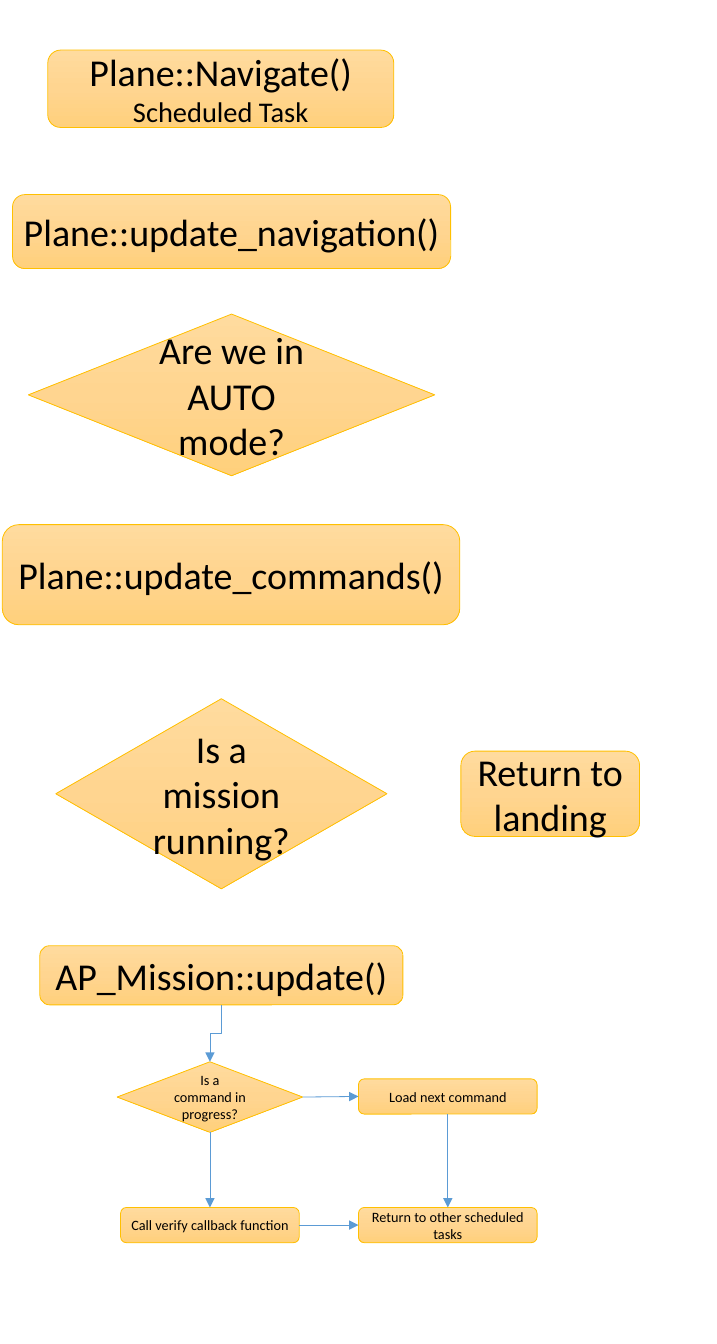
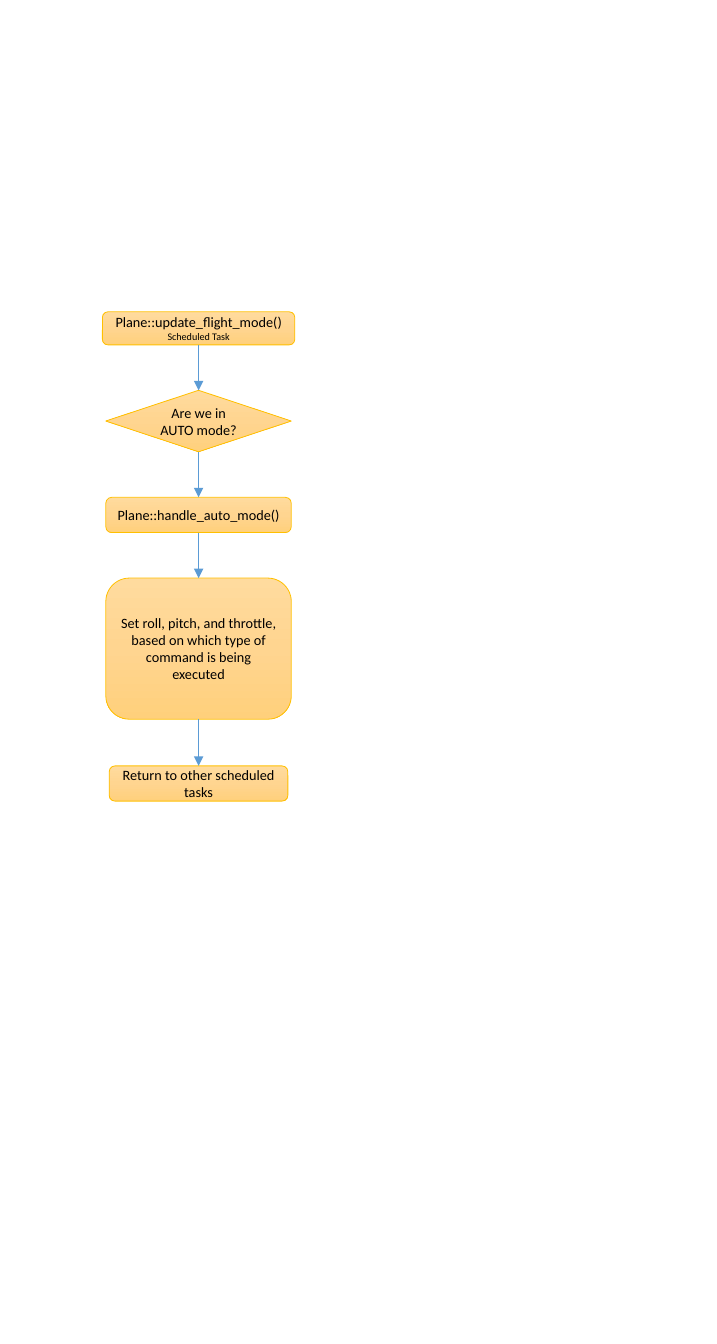
from copy import deepcopy

from lxml.etree import SubElement
from pptx import Presentation
from pptx.dml.color import RGBColor
from pptx.enum.shapes import MSO_CONNECTOR as CONNECTOR, MSO_SHAPE as SHAPE
from pptx.enum.text import MSO_ANCHOR as ANCHOR, PP_ALIGN as ALIGN
from pptx.oxml.ns import qn
from pptx.util import Pt

PX = 9144  # 100 px to the inch
BLANK_LAYOUT = 6
FONT = "Calibri"
LARGE, SMALL = 24, 9

BLACK = RGBColor(0x00, 0x00, 0x00)
GOLD = RGBColor(0xFF, 0xC0, 0x00)
BLUE = RGBColor(0x5B, 0x9B, 0xD5)
GRADIENT = [
    (0, RGBColor(0xFF, 0xDB, 0x9E)),
    (0.5, RGBColor(0xFF, 0xD5, 0x90)),
    (1, RGBColor(0xFF, 0xD0, 0x7C)),
]
FRAME_FORMAT = {
    "word_wrap": True,
    "vertical_anchor": ANCHOR.MIDDLE,
    "margin_left": 6 * PX,
    "margin_right": 6 * PX,
    "margin_top": 3 * PX,
    "margin_bottom": 3 * PX,
}
PROCESS, DECISION = SHAPE.FLOWCHART_ALTERNATE_PROCESS, SHAPE.FLOWCHART_DECISION
TOP, LEFT, BOTTOM, RIGHT = range(4)  # connection sites of both step shapes


def set_format(target, values):
    for name, value in values.items():
        setattr(target, name, value)


def set_line(line, color):
    line.width = Pt(0.5)
    line.color.rgb = color


def fill_gradient(shape):
    shape.fill.gradient()
    shape.fill.gradient_angle = 270
    stop_list = shape._element.spPr.find(".//" + qn("a:gsLst"))
    stop_list.insert(1, deepcopy(stop_list[0]))
    for stop, (position, color) in zip(shape.fill.gradient_stops, GRADIENT):
        stop.position = position
        stop.color.rgb = color


def add_text_line(paragraph, text, size):
    paragraph.alignment = ALIGN.CENTER
    run = paragraph.add_run()
    run.text = text
    set_format(run.font, {"name": FONT, "size": Pt(size)})
    run.font.color.rgb = BLACK


def add_step(slide, kind, box, text, size=SMALL, subtitle=None):
    """Add a flowchart step; subtitle is an optional (text, size) second line."""
    shape = slide.shapes.add_shape(kind, *(length * PX for length in box))
    shape.shadow.inherit = False
    fill_gradient(shape)
    set_line(shape.line, GOLD)
    frame = shape.text_frame
    set_format(frame, FRAME_FORMAT)
    add_text_line(frame.paragraphs[0], text, size)
    if subtitle:
        add_text_line(frame.add_paragraph(), *subtitle)
    return shape


def add_arrow(slide, start, end, sites=(BOTTOM, TOP), kind=CONNECTOR.STRAIGHT):
    arrow = slide.shapes.add_connector(kind, 0, 0, 0, 0)
    arrow.begin_connect(start, sites[0])
    arrow.end_connect(end, sites[1])
    set_line(arrow.line, BLUE)
    SubElement(arrow.line._get_or_add_ln(), qn("a:tailEnd"), type="triangle")
    SubElement(arrow._element.spPr, qn("a:effectLst"))
    return arrow


def add_downward_elbow(slide, start, end):
    """An elbow leaves sideways by default, so turn it a quarter about its centre."""
    arrow = add_arrow(slide, start, end, kind=CONNECTOR.ELBOW)
    center_x = (arrow.begin_x + arrow.end_x) // 2
    center_y = (arrow.begin_y + arrow.end_y) // 2
    across = arrow.begin_x - center_x
    along = arrow.begin_y - center_y
    set_format(arrow, {
        "begin_x": center_x + along,
        "begin_y": center_y - across,
        "end_x": center_x - along,
        "end_y": center_y + across,
    })
    arrow._element.spPr.find(qn("a:xfrm")).set("rot", "5400000")


def build_navigation_slide(slide):
    add_step(slide, PROCESS, (42, 44, 304, 68), "Plane::Navigate()", LARGE,
             ("Scheduled Task", 18))
    for kind, box, text in [
        (PROCESS, (11, 171, 385, 65), "Plane::update_navigation()"),
        (DECISION, (25, 276, 357, 142), "Are we in AUTO mode?"),
        (PROCESS, (2, 461, 402, 88), "Plane::update_commands()"),
        (DECISION, (49, 614, 291, 167), "Is a mission running?"),
        (PROCESS, (405, 660, 157, 75), "Return to landing"),
    ]:
        add_step(slide, kind, box, text, LARGE)

    update = add_step(slide, PROCESS, (35, 831, 319, 52), "AP_Mission::update()", LARGE)
    in_progress = add_step(slide, DECISION, (103, 933, 163, 62), "Is a command in progress?")
    verify = add_step(slide, PROCESS, (106, 1061, 157, 31), "Call verify callback function")
    load_next = add_step(slide, PROCESS, (315, 948, 157, 31), "Load next command")
    finish = add_step(slide, PROCESS, (315, 1061, 157, 31), "Return to other scheduled tasks")

    add_downward_elbow(slide, update, in_progress)
    add_arrow(slide, in_progress, verify)
    add_arrow(slide, in_progress, load_next, (RIGHT, LEFT))
    add_arrow(slide, verify, finish, (RIGHT, LEFT))
    add_arrow(slide, load_next, finish)


def build_flight_mode_slide(slide):
    steps = [add_step(slide, PROCESS, (90, 274, 169, 29), "Plane::update_flight_mode()",
                      subtitle=("Scheduled Task", 6.4))]
    for kind, box, text in [
        (DECISION, (93, 343, 163, 54), "Are we in AUTO mode?"),
        (PROCESS, (93, 437, 163, 31), "Plane::handle_auto_mode()"),
        (PROCESS, (93, 508, 163, 124),
         "Set roll, pitch, and throttle, based on which type of command is being executed"),
        (PROCESS, (96, 673, 157, 31), "Return to other scheduled tasks"),
    ]:
        steps.append(add_step(slide, kind, box, text))
    for start, end in zip(steps, steps[1:]):
        add_arrow(slide, start, end)


def main():
    presentation = Presentation()
    set_format(presentation, {"slide_width": 630 * PX, "slide_height": 1181 * PX})
    for build in (build_navigation_slide, build_flight_mode_slide):
        build(presentation.slides.add_slide(presentation.slide_layouts[BLANK_LAYOUT]))
    presentation.save("out.pptx")


if __name__ == "__main__":
    main()
